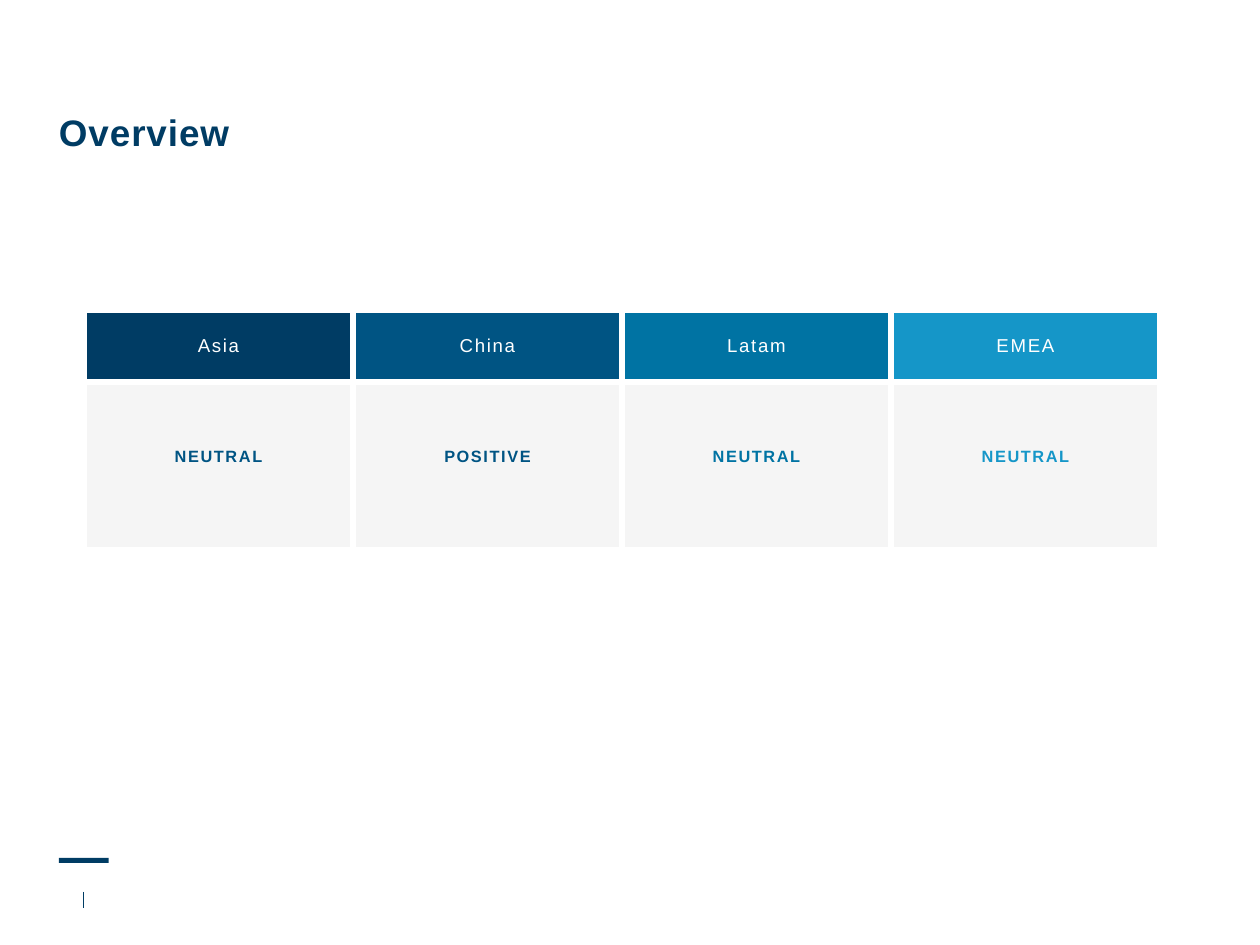
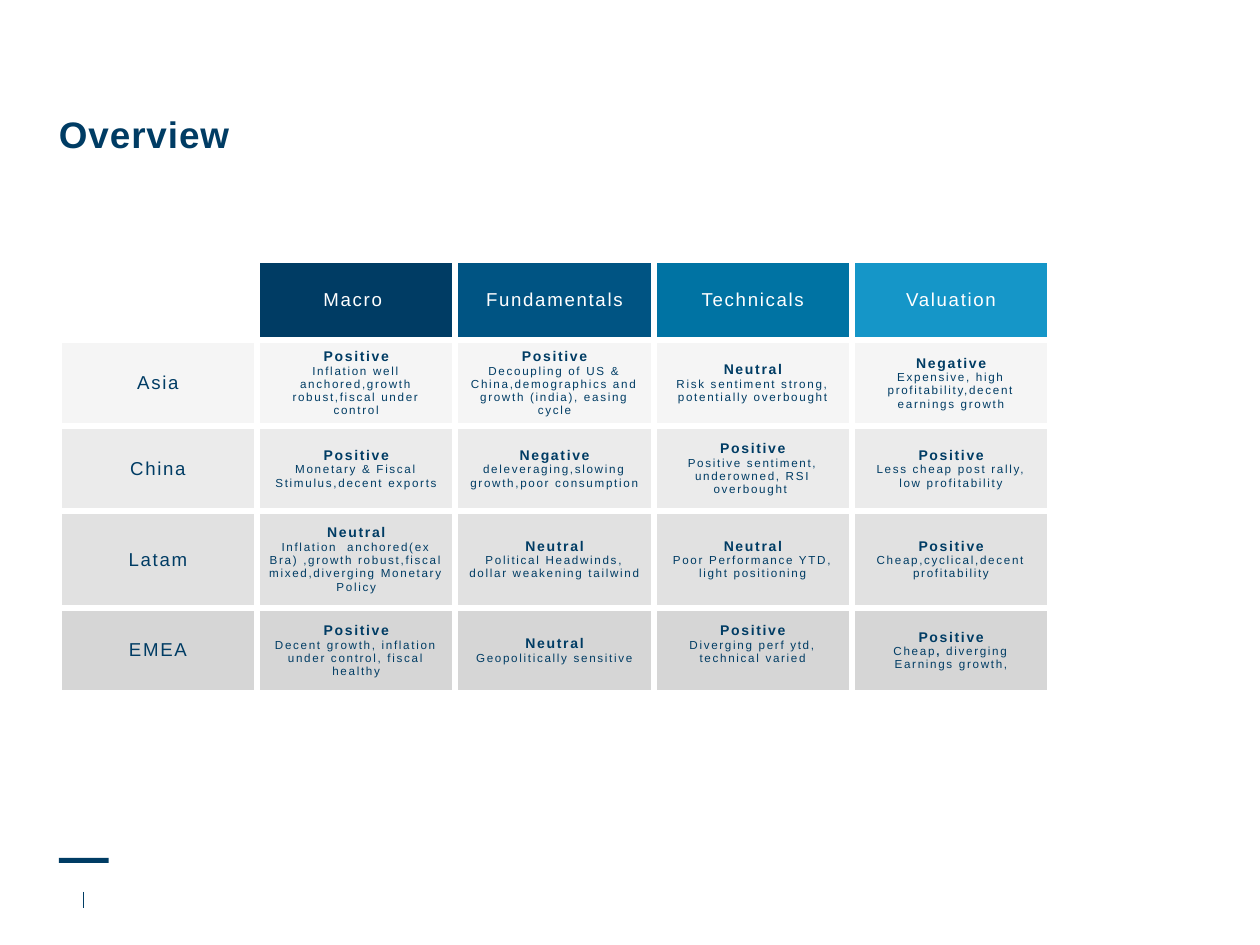
from lxml import etree
from pptx import Presentation
from pptx.dml.color import RGBColor
from pptx.enum.shapes import MSO_CONNECTOR, MSO_SHAPE
from pptx.enum.text import MSO_ANCHOR, MSO_AUTO_SIZE, PP_ALIGN
from pptx.oxml.ns import qn
from pptx.util import Pt

RECT, STRAIGHT = MSO_SHAPE.RECTANGLE, MSO_CONNECTOR.STRAIGHT
TOP, MIDDLE = MSO_ANCHOR.TOP, MSO_ANCHOR.MIDDLE
LEFT, CENTER = PP_ALIGN.LEFT, PP_ALIGN.CENTER
NO_FIT = MSO_AUTO_SIZE.NONE

# Shared look
FONT = "Arial"
NAVY, WHITE, PALE = "003C64", "FFFFFF", "F5F5F5"
BLUES = [NAVY, "005483", "0073A3", "1596C8"]
GREYS = [PALE, "EBEBEB", "E1E1E1", "D6D6D6"]
REGIONS = ["Asia", "China", "Latam", "EMEA"]
MARGIN = 25.2

# Slide 1: rating and its colour for each region
RATINGS = [("NEUTRAL", BLUES[1]), ("POSITIVE", BLUES[1]),
           ("NEUTRAL", BLUES[2]), ("NEUTRAL", BLUES[3])]

# Slide 2: rating and note for each region and factor; a bar in a note switches bold
FACTORS = ["Macro ", "Fundamentals", "Technicals", "Valuation"]
VIEWS = [
    [("Positive", "Inflation well anchored,growth robust,fiscal under control"),
     ("Positive", "Decoupling of US & China,demographics and growth (india), easing cycle"),
     ("Neutral", "Risk sentiment strong, potentially overbought"),
     ("Negative", "Expensive, high profitability,decent earnings growth")],
    [("Positive", "Monetary & Fiscal Stimulus,decent exports"),
     ("Negative", "deleveraging,slowing growth,poor consumption"),
     ("Positive", "Positive sentiment, underowned, RSI overbought "),
     ("Positive", "Less cheap post rally, low profitability")],
    [("Neutral", "Inflation  anchored(ex Bra) ,growth robust,fiscal mixed,diverging Monetary Policy"),
     ("Neutral", "Political Headwinds, dollar weakening tailwind"),
     ("Neutral", "Poor Performance YTD, light positioning"),
     ("Positive", "Cheap,cyclical,decent profitability")],
    [("Positive", "Decent growth, inflation under control, fiscal healthy"),
     ("Neutral", "Geopolitically sensitive"),
     ("Positive", "Diverging perf ytd, technical varied"),
     ("Positive", "Cheap|, |diverging Earnings growth,")],
]


def rgb(color):
    return RGBColor.from_string(color)


def style(r, size, color, bold=False, spacing=0.7):
    r.font.name, r.font.size, r.font.bold = FONT, Pt(size), bold
    r.font.color.rgb = rgb(color)
    r._r.get_or_add_rPr().set("spc", str(round(spacing * 100)))


def write(p, text, size, color, bold=False):
    """Fill a centred paragraph; each bar in the text switches bold."""
    p.alignment = CENTER
    for i, part in enumerate(text.split("|")):
        r = p.add_run()
        r.text = part
        style(r, size, color, bold != (i % 2 == 1))


def add_borders(cell):
    tc_pr = cell._tc.get_or_add_tcPr()
    for i, side in enumerate(("a:lnL", "a:lnR", "a:lnT", "a:lnB")):
        ln = etree.Element(qn(side), w=str(Pt(3)))
        fill = etree.SubElement(ln, qn("a:solidFill"))
        etree.SubElement(fill, qn("a:srgbClr"), val=WHITE)
        tc_pr.insert(i, ln)


def fill_cell(cell, fill, lines=(), pad=(4.9, 2.6), lift=0):
    """Fill a cell with (text, size, colour, bold) lines, raised by lift."""
    cell.fill.solid()
    cell.fill.fore_color.rgb = rgb(fill)
    add_borders(cell)
    cell.vertical_anchor = MIDDLE
    cell.margin_left = cell.margin_right = Pt(pad[0])
    cell.margin_top, cell.margin_bottom = Pt(pad[1]), Pt(pad[1] + 2 * lift)
    tf = cell.text_frame
    for i, line in enumerate(lines):
        write(tf.add_paragraph() if i else tf.paragraphs[0], *line)


def add_grid(s, x, y, col_width, cols, heights):
    frame = s.shapes.add_table(len(heights), cols, Pt(x), Pt(y),
                               Pt(col_width * cols), Pt(sum(heights)))
    table = frame.table
    table.first_row = table.horz_banding = False
    for col in table.columns:
        col.width = Pt(col_width)
    for row, height in zip(table.rows, heights):
        row.height = Pt(height)
    return table


def add_footer(s, x, y):
    # Accent bar
    sp = s.shapes.add_shape(RECT, Pt(x), Pt(y), Pt(21.4), Pt(2.2))
    sp.shadow.inherit = False
    sp.fill.solid()
    sp.fill.fore_color.rgb = rgb(NAVY)
    sp.line.fill.background()
    # Page number divider
    line = s.shapes.add_connector(STRAIGHT, Pt(x + 10.6), Pt(y + 14.6),
                                  Pt(x + 10.6), Pt(y + 21.6))
    line.line.color.rgb = rgb(NAVY)
    line.line.width = Pt(0.5)
    etree.SubElement(line._element.spPr, qn("a:effectLst"))


def add_slide(prs, title, y, height):
    s = prs.slides.add_slide(prs.slide_layouts[5])
    add_footer(s, MARGIN, 367.7)
    sp = s.shapes.title
    sp.left, sp.top, sp.width, sp.height = Pt(MARGIN), Pt(y), Pt(489.6), Pt(height)
    tf = sp.text_frame
    tf.text = title
    tf.auto_size, tf.word_wrap, tf.vertical_anchor = NO_FIT, True, TOP
    tf.margin_left = tf.margin_right = tf.margin_top = tf.margin_bottom = 0
    p = tf.paragraphs[0]
    p.alignment, p.line_spacing = LEFT, 0.9
    style(p.runs[0], 15.8, NAVY, True, 0.4)
    return s


def add_ratings(s, x, y):
    """Region headers above one rating each."""
    table = add_grid(s, x, y, 115.3, len(REGIONS), [30.9, 72])
    for c, (region, (rating, color)) in enumerate(zip(REGIONS, RATINGS)):
        fill_cell(table.cell(0, c), BLUES[c], [(region, 8, WHITE)])
        fill_cell(table.cell(1, c), PALE, [(rating, 7, color, True)], lift=4)


def add_matrix(s, x, y):
    """Regions down, factors across, a rating and note in each cell."""
    table = add_grid(s, x, y, 85, len(FACTORS) + 1, [34.4, 36.7, 36.7, 41.3, 36.7])
    fill_cell(table.cell(0, 0), WHITE)
    for c, factor in enumerate(FACTORS):
        fill_cell(table.cell(0, c + 1), BLUES[c], [(factor, 8, WHITE)])
    for r, (region, views) in enumerate(zip(REGIONS, VIEWS), 1):
        grey = GREYS[r - 1]
        fill_cell(table.cell(r, 0), grey, [(region, 8, NAVY)])
        for c, (rating, note) in enumerate(views, 1):
            lift = 2.8 if (r, c) == (4, 3) else 0
            fill_cell(table.cell(r, c), grey,
                      [(rating, 6, NAVY, True), (note, 5, NAVY)], lift=lift)


def main():
    prs = Presentation()
    prs.slide_width, prs.slide_height = Pt(540), Pt(405)
    add_ratings(add_slide(prs, "Overview", 49, 28), 36, 132.8)
    add_matrix(add_slide(prs, "Overview", 49.8, 23), MARGIN, 111.4)
    prs.save("out.pptx")


if __name__ == "__main__":
    main()
